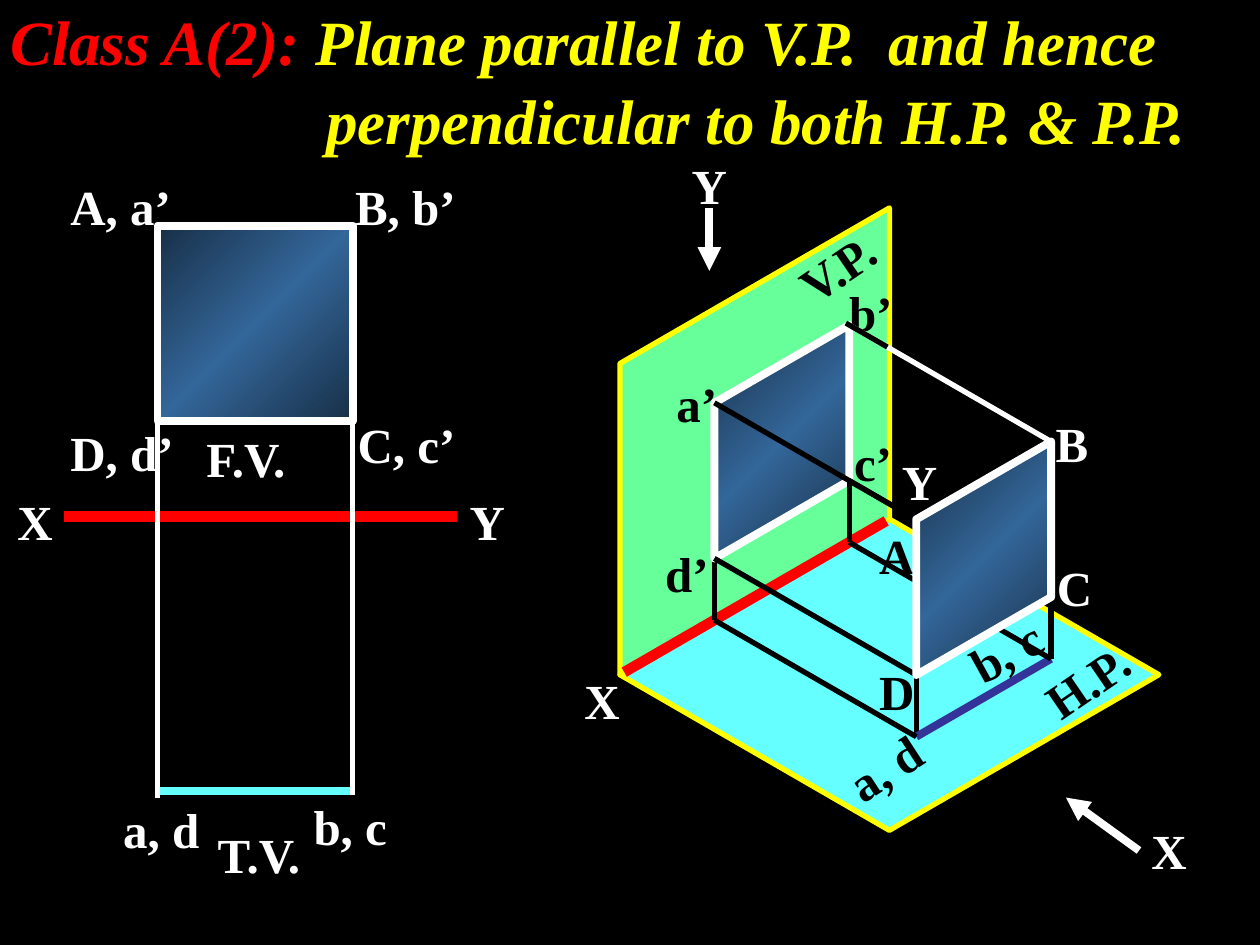
from copy import deepcopy
from dataclasses import dataclass

from lxml.etree import SubElement
from pptx import Presentation
from pptx.dml.color import RGBColor
from pptx.enum.shapes import MSO_CONNECTOR
from pptx.enum.text import MSO_ANCHOR, MSO_AUTO_SIZE, PP_ALIGN
from pptx.oxml.ns import qn
from pptx.util import Cm, Pt


@dataclass(frozen=True)
class Theme:
    font: str = "Times New Roman"
    title_size: int = 36
    label_size: int = 28
    line_spacing: float = 1.05
    thin: float = 3
    thick: float = 4.5
    heavy: float = 6
    black: str = "000000"
    white: str = "FFFFFF"
    red: str = "FF0000"
    yellow: str = "FFFF00"
    green: str = "66FF99"
    cyan: str = "66FFFF"
    indigo: str = "333399"
    face_dark: str = "182F47"
    face_light: str = "336699"


THEME = Theme()
LABEL_HEIGHT = 0.57


def length(inches):
    return Cm(inches * 2.54)


def color(code):
    return RGBColor.from_string(code)


# Drawing helpers
def add_run(paragraph, text, size, code, italic=False):
    run = paragraph.add_run()
    run.text = text
    run.font.name = THEME.font
    run.font.size = Pt(size)
    run.font.bold = True
    run.font.italic = italic
    run.font.color.rgb = color(code)


def add_label(slide, box, text, x, y, width, code=THEME.white, rotation=0):
    left, top = box[:2]
    shape = slide.shapes.add_textbox(
        length(left + x), length(top + y), length(width), length(LABEL_HEIGHT))
    shape.rotation = rotation
    shape.text_frame.word_wrap = True
    paragraph = shape.text_frame.paragraphs[0]
    paragraph.line_spacing = THEME.line_spacing
    add_run(paragraph, text, THEME.label_size, code)


def add_line(slide, start, end, code, width=THEME.thin, arrow=False):
    ends = [length(value) for value in (*start, *end)]
    connector = slide.shapes.add_connector(MSO_CONNECTOR.STRAIGHT, *ends)
    connector.line.color.rgb = color(code)
    connector.line.width = Pt(width)
    properties = connector._element.spPr
    if arrow:
        SubElement(properties.find(qn("a:ln")), qn("a:tailEnd"), type="triangle")
    SubElement(properties, qn("a:effectLst"))


def add_polygon(slide, points, line_code, width, fill_code=None):
    """Closed outline; without a fill colour it gets the shaded face."""
    corners = [(length(x), length(y)) for x, y in points]
    builder = slide.shapes.build_freeform(*corners[0], scale=1.0)
    builder.add_line_segments(corners[1:], close=True)
    shape = builder.convert_to_shape()
    shape.shadow.inherit = False
    shape.line.color.rgb = color(line_code)
    shape.line.width = Pt(width)
    if fill_code:
        shape.fill.solid()
        shape.fill.fore_color.rgb = color(fill_code)
        return
    shape.fill.gradient()
    shape.fill.gradient_angle = 315
    first, middle = shape.fill.gradient_stops
    first.color.rgb, first.position = color(THEME.face_dark), 0
    middle.color.rgb, middle.position = color(THEME.face_light), 0.5
    stops = next(shape._element.iter(qn("a:gsLst")))
    last = deepcopy(stops[0])
    last.set("pos", "100000")
    stops.append(last)


# Title
def build_title(slide, box):
    title = slide.shapes.title
    title.left, title.top, title.width, title.height = map(length, box)
    frame = title.text_frame
    frame.word_wrap = True
    frame.auto_size = MSO_AUTO_SIZE.NONE
    frame.vertical_anchor = MSO_ANCHOR.TOP
    paragraph = frame.paragraphs[0]
    paragraph.alignment = PP_ALIGN.LEFT
    paragraph.line_spacing = THEME.line_spacing
    hanging = length(2.51)
    properties = paragraph._p.get_or_add_pPr()
    properties.set("marL", str(hanging))
    properties.set("indent", str(-hanging))
    add_run(paragraph, "Class A(2): ", THEME.title_size, THEME.red, True)
    add_run(paragraph, "Plane parallel to V.P.  and hence perpendicular to both H.P. & P.P.",
            THEME.title_size, THEME.yellow, True)


# Front view above the XY line, top view below it
def build_orthographic_views(slide, box):
    left, top, width, height = box
    side = 1.55
    west, north = left + 1.21, top + 0.46
    east, south = west + side, north + side
    plan_y, axis_y = top + 4.95, top + 2.77

    add_polygon(slide, [(west, south), (west, north), (east, north), (east, south)],
                THEME.white, THEME.thick)
    add_line(slide, (east, plan_y), (west, plan_y), THEME.cyan, THEME.thick)
    add_line(slide, (left + 0.47, axis_y), (left + 3.59, axis_y), THEME.red, THEME.heavy)
    for x, bottom in ((west, top + height), (east, top + height - 0.02)):
        add_line(slide, (x, south), (x, bottom), THEME.white)

    for text, x, y, label_width in (
            ("X", 0, 2.5, 0.5), ("Y", 3.59, 2.5, 0.5),
            ("A, a’", 0.42, 0, 1.08), ("B, b’", 2.68, 0, 1.01),
            ("D, d’", 0.42, 1.95, 1.17), ("C, c’", 2.7, 1.89, 1.14),
            ("a, d", 0.84, 4.94, 0.83), ("b, c", 2.35, 4.92, 0.83),
            ("F.V.", 1.5, 2, 1), ("T.V.", 1.59, 5.14, 1)):
        add_label(slide, box, text, x, y, label_width)


# Isometric view of the plane standing between V.P. and H.P.
def build_isometric_view(slide, box):
    left, top, width, height = box
    size = height / 2          # side of each reference plane
    side = size / 2            # side of the square ABCD
    near, low, out = 0.866, 0.49, 1.85
    far, high = near + side, low + side

    def iso(along, outward, up):
        return (left + 0.866 * (along + outward),
                top + 0.75 * height + 0.5 * (outward - along) - up)

    def face(outward):
        return [iso(far, outward, high), iso(near, outward, high),
                iso(near, outward, low), iso(far, outward, low)]

    def drop(along, outward):
        add_line(slide, iso(along, outward, low), iso(along, outward, 0), THEME.black)

    def projector(along, up, code=THEME.black):
        add_line(slide, iso(along, 0, up), iso(along, out, up), code)

    # Reference planes and the XY line
    add_polygon(slide, [iso(0, 0, 0), iso(0, 0, size), iso(size, 0, size), iso(size, 0, 0)],
                THEME.yellow, THEME.thin, THEME.green)
    add_label(slide, box, "V.P.", 1.25, 0, 1.42, THEME.black, 325.6)
    add_polygon(slide, [iso(0, 0, 0), iso(size, 0, 0), iso(size, size, 0), iso(0, size, 0)],
                THEME.yellow, THEME.thin, THEME.cyan)
    add_label(slide, box, "H.P.", 3.24, 3.42, 1, THEME.black, 325.6)
    add_line(slide, iso(0.04, 0, 0), iso(size - 0.03, 0, 0), THEME.red, THEME.heavy)

    # Front view on V.P., top view on H.P. and the projectors
    for along, outward in ((near, out), (near, 0), (far, out)):
        drop(along, outward)
    add_line(slide, iso(near, out, 0), iso(far, out, 0), THEME.indigo, THEME.thick)
    add_polygon(slide, face(0), THEME.white, THEME.thick)
    drop(far, 0)
    for up in (low, high, 0):
        projector(near, up)

    for text, x, y, label_width, code in (
            ("X", -0.38, 3.6, 0.5, THEME.white), ("Y", 2.14, 1.86, 0.5, THEME.white),
            ("b’", 1.72, 0.52, 0.67, THEME.black), ("a’", 0.35, 1.24, 0.98, THEME.black),
            ("d’", 0.26, 2.59, 0.75, THEME.black), ("c’", 1.76, 1.71, 0.58, THEME.black),
            ("B", 3.36, 1.56, 0.5, THEME.white), ("A", 1.96, 2.45, 0.5, THEME.black),
            ("C", 3.37, 2.7, 0.5, THEME.white), ("D", 1.96, 3.53, 0.5, THEME.black),
            ("X", 4.12, 4.79, 0.75, THEME.white), ("Y", 0.47, -0.49, 0.75, THEME.white)):
        add_label(slide, box, text, x, y, label_width, code)
    add_label(slide, box, "a, d", 1.69, 4.13, 0.83, THEME.black, 326.9)

    # Viewing directions
    for start, end in (((4.12, 5.1), (3.54, 4.68)), ((0.71, 0), (0.71, 0.5))):
        add_line(slide, (left + start[0], top + start[1]), (left + end[0], top + end[1]),
                 THEME.white, THEME.thick, arrow=True)

    # The square itself, in front of its hidden projectors
    for up in (low, 0):
        projector(far, up)
    add_polygon(slide, face(out), THEME.white, THEME.thick)
    add_label(slide, box, "b, c", 2.66, 3.2, 0.83, THEME.black, 331)
    projector(far, high, THEME.white)
    add_line(slide, iso(far, 0.35, high), iso(far, -0.03, high), THEME.black)


def main():
    presentation = Presentation()
    presentation.slide_width, presentation.slide_height = length(10), length(7.5)
    slide = presentation.slides.add_slide(presentation.slide_layouts[5])
    slide.background.fill.solid()
    slide.background.fill.fore_color.rgb = color(THEME.black)
    build_title(slide, (-0.02, -0.06, 10.58, 1.3))
    build_orthographic_views(slide, (0.04, 1.33, 4.09, 5))
    build_isometric_view(slide, (4.92, 1.65, 4.28, 4.94))
    presentation.save("out.pptx")


if __name__ == "__main__":
    main()
